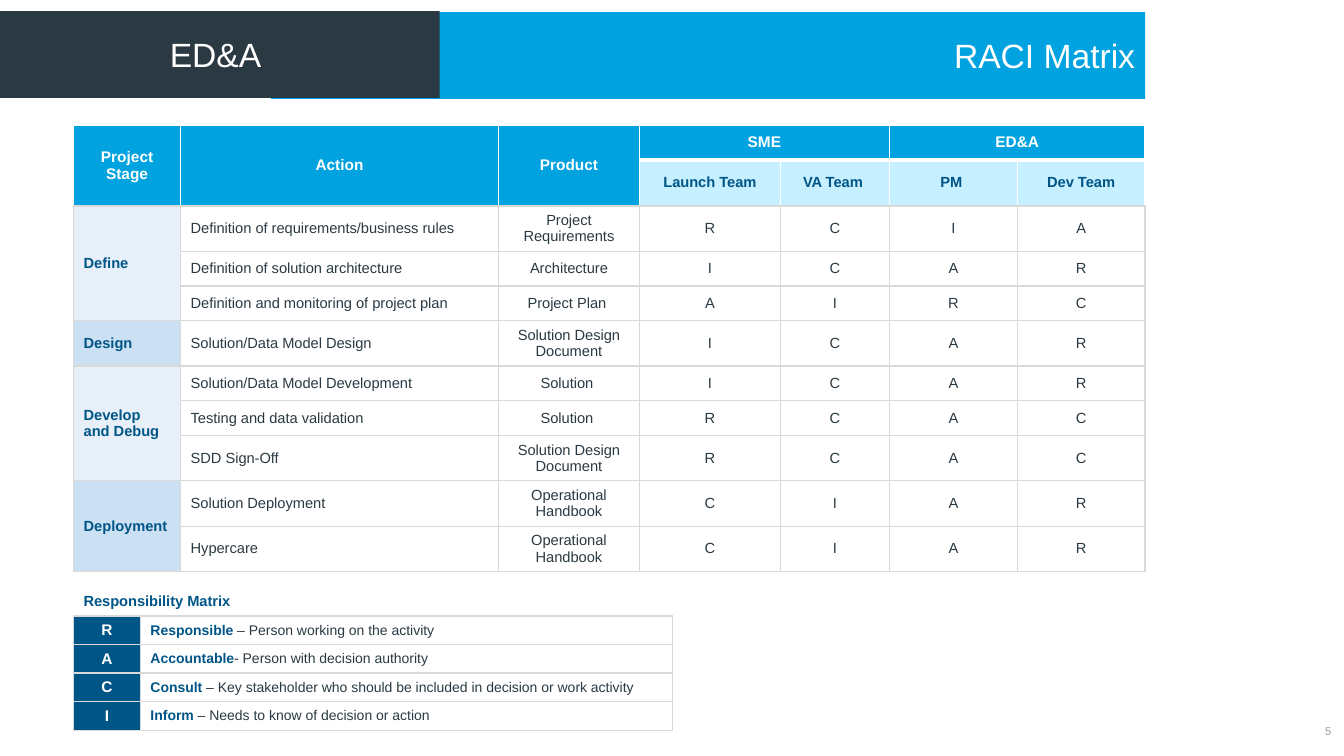
"""Build the RACI Matrix slide."""
from lxml import etree
from pptx import Presentation
from pptx.dml.color import RGBColor
from pptx.enum import shapes, text
from pptx.oxml import ns
from pptx.util import Pt

BLUE = RGBColor(0x00, 0xA3, 0xE0)
PALE_BLUE = RGBColor(0xC6, 0xEF, 0xFF)
NAVY = RGBColor(0x00, 0x55, 0x87)
SLATE = RGBColor(0x2B, 0x3A, 0x42)
LIGHT = RGBColor(0xE7, 0xF0, 0xF9)
MEDIUM = RGBColor(0xCC, 0xE0, 0xF3)
WHITE = RGBColor(0xFF, 0xFF, 0xFF)
LINE = RGBColor(0xD9, 0xD9, 0xD9)
GREY = RGBColor(0x95, 0x9C, 0xA0)
LEFT, CENTER, RIGHT = text.PP_ALIGN.LEFT, text.PP_ALIGN.CENTER, text.PP_ALIGN.RIGHT
MIDDLE = text.MSO_ANCHOR.MIDDLE


def write(tf, runs, align=LEFT):
    p = tf.paragraphs[0]
    p.alignment = align
    for words, size, color, bold in runs:
        r = p.add_run()
        r.text = words
        r.font.color.rgb = color
        for name, value in {"name": "Arial", "size": Pt(size), "bold": bold}.items():
            setattr(r.font, name, value)


def style_cell(cell, fill, edges):
    cell.vertical_anchor = MIDDLE
    tcPr = cell._tc.get_or_add_tcPr()
    for side, (color, width) in zip("LRTB", edges):
        ln = etree.SubElement(tcPr, ns.qn(f"a:ln{side}"), w=str(Pt(width)))
        solid = etree.SubElement(ln, ns.qn("a:solidFill"))
        etree.SubElement(solid, ns.qn("a:srgbClr"), val=str(color))
    if fill is None:
        cell.fill.background()
    else:
        cell.fill.solid()
        cell.fill.fore_color.rgb = fill


prs = Presentation()
prs.slide_width, prs.slide_height = Pt(960), Pt(540)
s = prs.slides.add_slide(prs.slide_layouts[5])

title = s.shapes.title
tab = s.shapes.add_shape(shapes.MSO_SHAPE.RECTANGLE, Pt(-0.7), Pt(7.9), Pt(314.7), Pt(62))
tab.shadow.inherit = False
for name, value in {"left": 193.7, "top": 8.6, "width": 624.3, "height": 62}.items():
    setattr(title, name, Pt(value))
for sp, words, color, align in [(title, "RACI Matrix", BLUE, RIGHT), (tab, "ED&A ", SLATE, CENTER)]:
    sp.fill.solid()
    sp.fill.fore_color.rgb = color
    sp.line.fill.background()
    tf = sp.text_frame
    for name, value in {"auto_size": text.MSO_AUTO_SIZE.NONE, "word_wrap": True,
                        "vertical_anchor": MIDDLE}.items():
        setattr(tf, name, value)
    write(tf, [(words, 24, WHITE, False)], align)

headings = [
    ["Project Stage", "Action", "Product", "SME", "", "ED&A", ""],
    ["", "", "", "Launch Team", "VA Team ", "PM ", "Dev Team"],
]
stages = [
    ("Define", LIGHT, [
        ("Definition of requirements/business rules", "Project Requirements", "RCIA"),
        ("Definition of solution architecture", "Architecture", "ICAR"),
        ("Definition and monitoring of project plan", "Project Plan ", "AIRC")]),
    ("Design", MEDIUM, [
        ("Solution/Data Model Design", "Solution Design Document", "ICAR")]),
    ("Develop and Debug", LIGHT, [
        ("Solution/Data Model Development", "Solution ", "ICAR"),
        ("Testing and data validation", "Solution ", "RCAC"),
        ("SDD Sign-Off", "Solution Design Document", "RCAC")]),
    ("Deployment", MEDIUM, [
        ("Solution Deployment", "Operational Handbook", "CIAR"),
        ("Hypercare", "Operational Handbook", "CIAR")]),
]
ONE_LINE, TWO_LINES = 24.8, 32.4
widths = [76.4, 227.1, 100.7, 100.7, 77.9, 91.4, 91.1]
heights = [ONE_LINE, 33.1]
for stage, fill, actions in stages:
    for action, product, roles in actions:
        heights.append(TWO_LINES if len(product) > 15 else ONE_LINE)

raci = s.shapes.add_table(len(heights), len(widths), Pt(52.6), Pt(89.3),
                          Pt(sum(widths)), Pt(sum(heights))).table
legend = s.shapes.add_table(4, 2, Pt(52.6), Pt(440), Pt(427.7), Pt(81.6)).table
for table, cols, rows in [(raci, widths, heights), (legend, [47.7, 380], [20.4] * 4)]:
    table.first_row = table.horz_banding = False
    for col, width in zip(table.columns, cols):
        col.width = Pt(width)
    for row, height in zip(table.rows, rows):
        row.height = Pt(height)

thin, thick, grey = (WHITE, 1), (WHITE, 3), (LINE, 1)
for i, row in enumerate(headings):
    for j, words in enumerate(row):
        cell = raci.cell(i, j)
        grouped = j > 2
        sub = grouped and i == 1
        edges = [thin, thin, thick if sub else thin, thick if grouped and i == 0 else grey]
        style_cell(cell, PALE_BLUE if sub else BLUE, edges)
        if words:
            write(cell.text_frame, [(words, 10.5 if sub else 11, NAVY if sub else WHITE, True)], CENTER)
for j in range(3):
    raci.cell(0, j).merge(raci.cell(1, j))
for j in (3, 5):
    raci.cell(0, j).merge(raci.cell(0, j + 1))

i = 2
for stage, fill, actions in stages:
    first = raci.cell(i, 0)
    write(first.text_frame, [(stage, 10.5, NAVY, True)])
    for action, product, roles in actions:
        style_cell(raci.cell(i, 0), fill, [grey] * 4)
        for j, words in enumerate([action, product, *roles], 1):
            cell = raci.cell(i, j)
            style_cell(cell, None, [grey] * 4)
            write(cell.text_frame, [(words, 10.5, SLATE, False)], LEFT if j == 1 else CENTER)
        i += 1
    if len(actions) > 1:
        first.merge(raci.cell(i - 1, 0))

meanings = [
    ("R", "Responsible", " – Person working on the activity"),
    ("A", "Accountable", "- Person with decision authority"),
    ("C", "Consult", " – Key stakeholder who should be included in decision or work activity"),
    ("I", "Inform ", "– Needs to know of decision or action"),
]
for i, (letter, role, meaning) in enumerate(meanings):
    key, note = legend.cell(i, 0), legend.cell(i, 1)
    style_cell(key, NAVY, [grey] * 4)
    style_cell(note, None, [grey] * 4)
    write(key.text_frame, [(letter, 11, WHITE, True)], CENTER)
    write(note.text_frame, [(role, 10, NAVY, True), (meaning, 10, SLATE, False)])

caption = s.shapes.add_textbox(Pt(52.6), Pt(419), Pt(180.7), Pt(20.9)).text_frame
caption.word_wrap = True
write(caption, [("Responsibility Matrix", 10.5, NAVY, True)])

number = s.shapes.add_textbox(Pt(923), Pt(515.5), Pt(28), Pt(13.7)).text_frame
for name in ("margin_left", "margin_right", "margin_top", "margin_bottom"):
    setattr(number, name, Pt(0))
number.word_wrap = True
number.vertical_anchor = MIDDLE
write(number, [("5", 8, GREY, False)], RIGHT)

prs.save("out.pptx")
